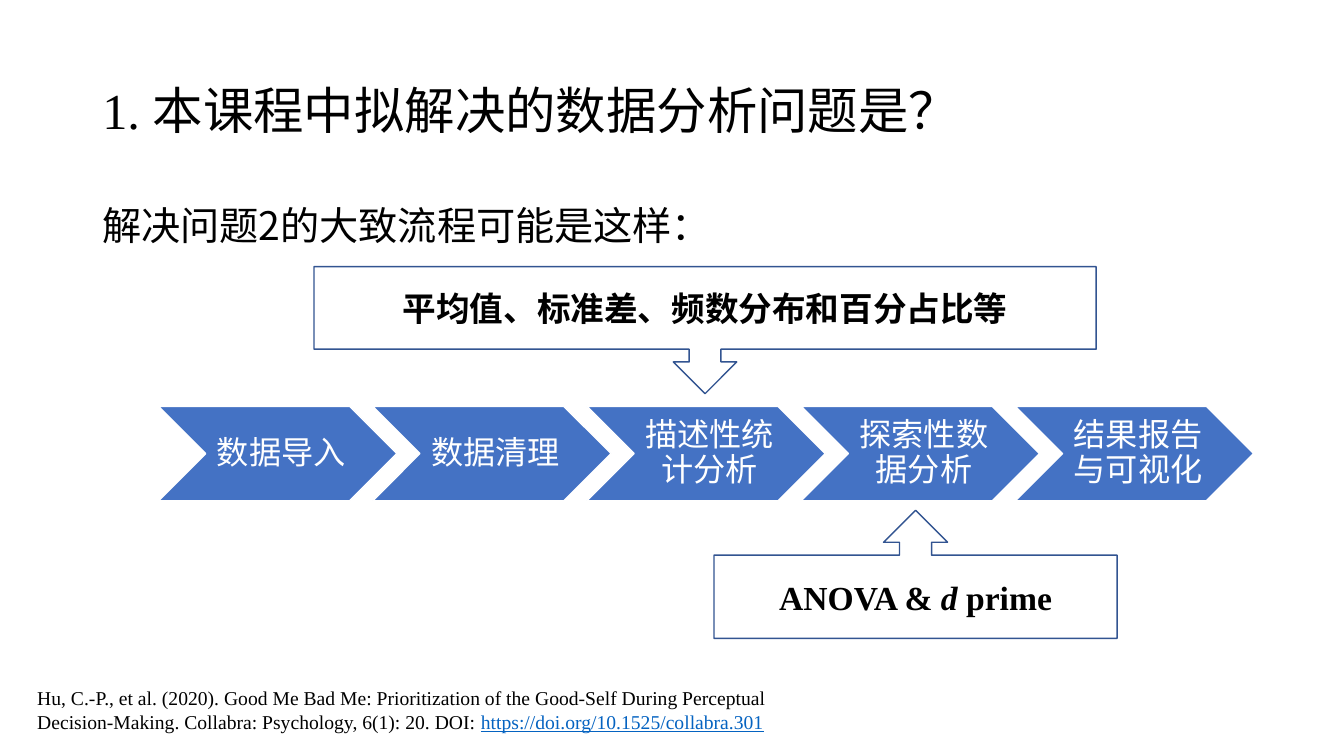
import pptx
import pptx.dml.color
import pptx.enum.shapes
import pptx.enum.text
import pptx.oxml.ns
import pptx.util
from lxml import etree

RGBColor = pptx.dml.color.RGBColor
Pt = pptx.util.Pt
SHAPES = pptx.enum.shapes.MSO_SHAPE
ANCHOR = pptx.enum.text.MSO_ANCHOR
ALIGN = pptx.enum.text.PP_ALIGN

BLACK = RGBColor(0x00, 0x00, 0x00)
WHITE = RGBColor(0xFF, 0xFF, 0xFF)
BLUE = RGBColor(0x44, 0x72, 0xC4)
DARK_BLUE = RGBColor(0x32, 0x54, 0x91)
LINK_BLUE = RGBColor(0x05, 0x63, 0xC1)
SANS = "Noto Sans CJK SC"
SERIF = "Times New Roman"

STEPS = ["数据导入", "数据清理", "描述性统计分析", "探索性数据分析", "结果报告与可视化"]
CITATION = (
    "Hu, C.-P., et al. (2020). Good Me Bad Me: Prioritization of the Good-Self "
    "During Perceptual Decision-Making. Collabra: Psychology, 6(1): 20. DOI: "
)


def px(length):
    return pptx.util.Emu(length * 9525)


def write_text(shape, runs, font, frame=None, paragraph=None):
    """Fill a shape with one paragraph; each run is (text, changes to font)."""
    text_frame = shape.text_frame
    text_paragraph = text_frame.paragraphs[0]
    for name, value in {"word_wrap": True, **(frame or {})}.items():
        setattr(text_frame, name, value)
    for name, value in (paragraph or {}).items():
        setattr(text_paragraph, name, value)
    for text, changes in runs:
        run = text_paragraph.add_run()
        run.text = text
        formats = {"color": BLACK, **font, **changes}
        run.font.color.rgb = formats.pop("color")
        for name, value in formats.items():
            setattr(run.font, name, value)
        east_asian = etree.SubElement(
            run.font._element, pptx.oxml.ns.qn("a:ea"))
        east_asian.set("typeface", SANS)


def add_text(slide, box, runs, font, frame=None, paragraph=None):
    text_box = slide.shapes.add_textbox(*map(px, box))
    write_text(text_box, runs, font, frame, paragraph)


def add_box(slide, kind, box, fill, line):
    shape = slide.shapes.add_shape(kind, *map(px, box))
    shape.shadow.inherit = False
    shape.fill.solid()
    shape.fill.fore_color.rgb = fill
    shape.line.color.rgb = line
    shape.line.width = Pt(1)
    return shape


def add_heading(slide, box):
    left, top, width, height = box
    add_text(
        slide, (left, top, width, 139),
        [("1. 本课程中拟解决", {"name": SERIF}), ("的数据分析问题是？", {})],
        {"name": SANS, "size": Pt(36)},
        {"vertical_anchor": ANCHOR.MIDDLE}, {"line_spacing": 0.9})
    add_text(
        slide, (left, top + 154, width, height - 154),
        [("解决问题2的大致流程可能是这样：", {})],
        {"name": SANS, "size": Pt(28)}, None, {"line_spacing": 0.9})


def add_process(slide, box):
    """Spread the steps over the box as chevrons, one after another."""
    left, top, width, height = box
    step_width = 227
    pitch = (width - step_width) // (len(STEPS) - 1)
    margins = {"margin_left": px(10), "margin_right": px(3),
               "margin_top": px(3), "margin_bottom": px(3)}
    for index, step in enumerate(STEPS):
        chevron = add_box(
            slide, SHAPES.CHEVRON,
            (left + index * pitch, top, step_width, height), BLUE, WHITE)
        write_text(
            chevron, [(step, {})],
            {"name": SANS, "size": Pt(23), "color": WHITE},
            {"vertical_anchor": ANCHOR.MIDDLE, **margins},
            {"alignment": ALIGN.CENTER, "line_spacing": 0.9})


def add_callout(slide, kind, box, runs, font_name):
    callout = add_box(slide, kind, box, WHITE, DARK_BLUE)
    write_text(
        callout, runs, {"name": font_name, "size": Pt(24), "bold": True},
        {"vertical_anchor": ANCHOR.MIDDLE}, {"alignment": ALIGN.CENTER})


def add_citation(slide, box):
    link = {"color": LINK_BLUE, "underline": True}
    add_text(
        slide, box,
        [(CITATION, {}), ("https://doi.org/10.1525/collabra.301", link)],
        {"name": SERIF, "size": Pt(14)})


def build_process_slide(presentation):
    slide = presentation.slides.add_slide(presentation.slide_layouts[6])
    add_heading(slide, (88, 38, 1104, 220))
    add_process(slide, (151, 387, 1043, 90))
    add_callout(
        slide, SHAPES.UP_ARROW_CALLOUT, (680, 486, 384, 122),
        [("ANOVA & ", {}), ("d ", {"italic": True}), ("prime", {})], SERIF)
    add_callout(
        slide, SHAPES.DOWN_ARROW_CALLOUT, (299, 254, 745, 121),
        [("平均值、标准差、频数分布和百分占比等", {})], SANS)
    add_citation(slide, (26, 649, 778, 55))


def main():
    presentation = pptx.Presentation()
    presentation.slide_width = px(1280)
    presentation.slide_height = px(720)
    build_process_slide(presentation)
    presentation.save("out.pptx")


if __name__ == "__main__":
    main()
